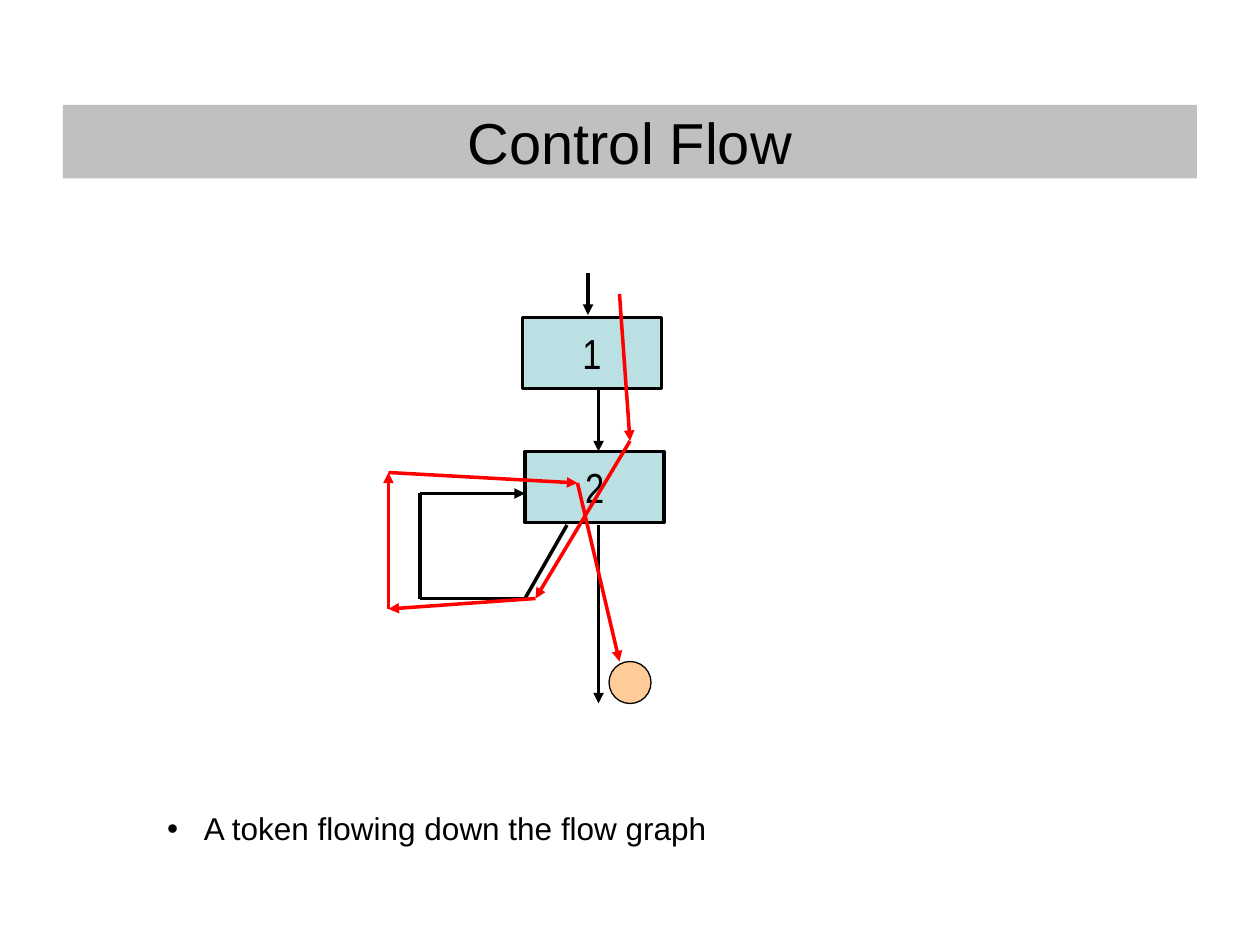
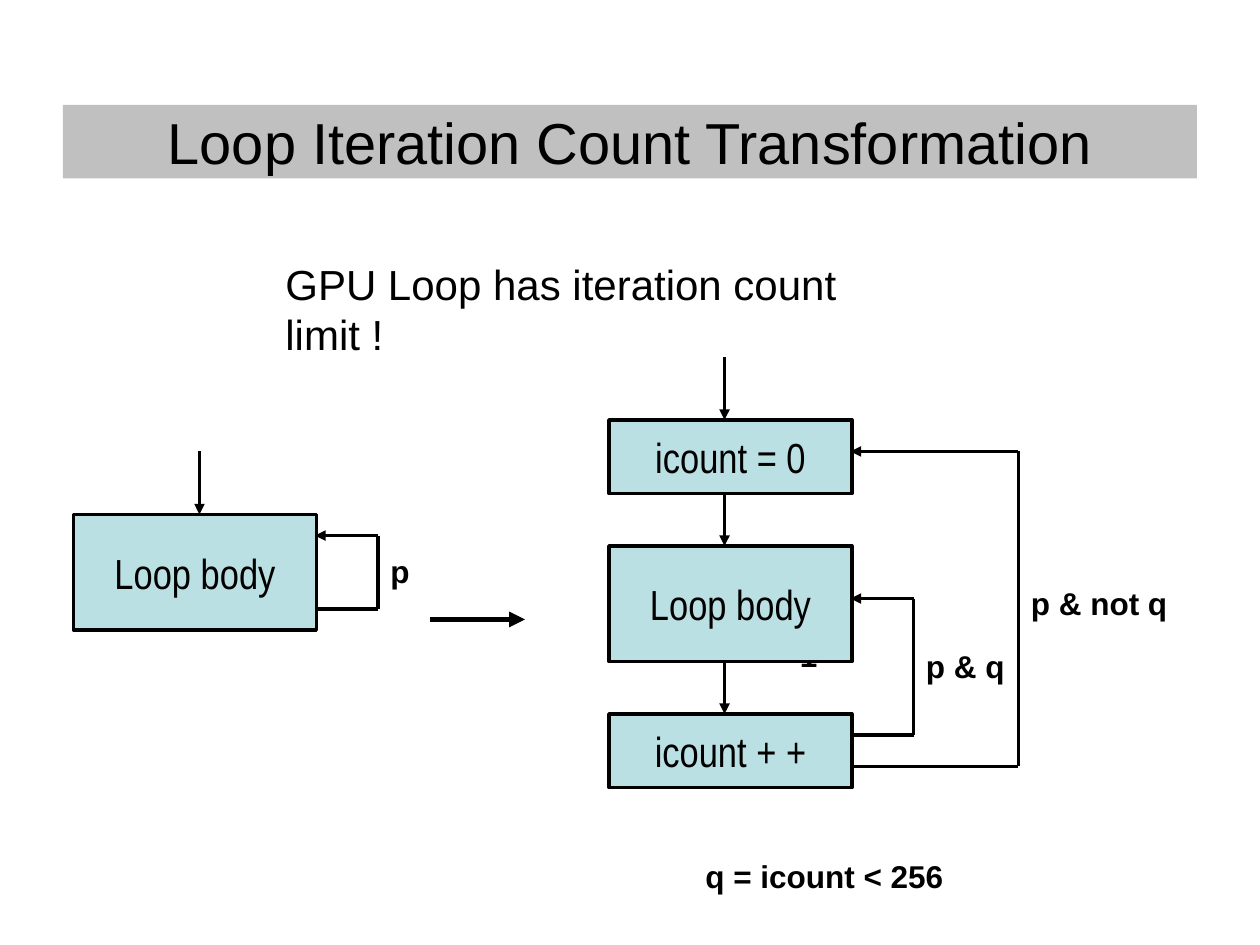
"""Builds two slides on control flow and loop iteration counts."""
from lxml import etree
from pptx import Presentation
from pptx import util as u
from pptx.dml.color import RGBColor
from pptx.enum import shapes, text
from pptx.oxml.ns import qn

PX = 9525
WIDTH, HEIGHT = 960, 720
COLORS = {"ink": "000000", "band": "C0C0C0", "process": "BBE0E3",
          "trace": "FF0000", "token": "FFCC99"}
RGB = {name: RGBColor.from_string(value) for name, value in COLORS.items()}
BULLET_INDENT = 28


def write(shape, content, size, font="Arial", bold=False, centered=False, wrap=True):
    """Put one styled line of text in a shape."""
    tf = shape.text_frame
    tf.text = content
    tf.word_wrap = wrap
    p = tf.paragraphs[0]
    if centered:
        tf.vertical_anchor = text.MSO_ANCHOR.MIDDLE
        p.alignment = text.PP_ALIGN.CENTER
    r = p.runs[0]
    r.font.name, r.font.size, r.font.bold = font, u.Pt(size), bold
    r.font.color.rgb = RGB["ink"]
    return p


def route(s, points, color="ink", weight=2, arrows="last"):
    """Join points with straight connectors, with arrowheads on none, the last or all."""
    legs = list(zip(points, points[1:]))
    for i, (start, end) in enumerate(legs, 1):
        line = s.shapes.add_connector(shapes.MSO_CONNECTOR.STRAIGHT,
                                      *[v * PX for v in start + end])
        line.line.color.rgb = RGB[color]
        line.line.width = u.Pt(weight)
        if arrows == "all" or (arrows == "last" and i == len(legs)):
            etree.SubElement(line.line._get_or_add_ln(), qn("a:tailEnd"), type="triangle")
        etree.SubElement(line._element.spPr, qn("a:effectLst"))


SLIDES = [
    {
        "title": "Control Flow",
        "labels": [("A token flowing down the flow graph", 118, 612, 514, 38, 18, False, True)],
        "boxes": [("1", 398, 242, 106, 54), ("2", 400, 344, 106, 54)],
        "routes": [
            {"points": [(448, 208), (448, 240)]},
            {"points": [(456, 296), (456, 344)]},
            {"points": [(456, 400), (456, 536)]},
            {"points": [(432, 400), (400, 456), (320, 456), (320, 376), (400, 376)]},
            {"points": [(472, 224), (480, 336), (408, 456), (296, 464), (296, 360),
                        (440, 368), (472, 504)], "color": "trace", "arrows": "all"},
        ],
    },
    {
        "title": "Loop Iteration Count Transformation",
        "labels": [
            ("GPU Loop has iteration count limit !", 208, 192, 522, 48, 24, False, False),
            ("1", 600, 480, 24, 38, 18, True, True),
            ("p", 288, 416, 34, 38, 18, True, False),
            ("p & q", 696, 488, 80, 38, 18, True, True),
            ("p & not q", 776, 440, 128, 38, 18, True, True),
            ("q = icount < 256", 528, 648, 216, 38, 18, True, True),
        ],
        "boxes": [("Loop body", 56, 392, 185, 88), ("icount = 0", 464, 320, 185, 56),
                  ("Loop body", 464, 416, 185, 88), ("icount + +", 464, 544, 185, 56)],
        "routes": [
            {"points": [(152, 344), (152, 392)]},
            {"points": [(240, 464), (288, 464), (288, 408), (240, 408)]},
            {"points": [(328, 472), (400, 472)], "weight": 3},
            {"points": [(552, 272), (552, 320)]},
            {"points": [(552, 376), (552, 416)]},
            {"points": [(552, 504), (552, 544)]},
            {"points": [(648, 560), (696, 560), (696, 456), (648, 456)]},
            {"points": [(648, 584), (776, 584), (776, 344), (648, 344)]},
        ],
    },
]

prs = Presentation()
prs.slide_width, prs.slide_height = WIDTH * PX, HEIGHT * PX

for content in SLIDES:
    s = prs.slides.add_slide(prs.slide_layouts[6])

    band = s.shapes.add_shape(shapes.MSO_SHAPE.RECTANGLE, *[v * PX for v in (48, 80, 864, 56)])
    band.shadow.inherit = False
    band.fill.solid()
    band.fill.fore_color.rgb = RGB["band"]
    band.line.fill.background()
    write(band, content["title"], 33, centered=True)

    for label, x, y, w, h, size, bold, wrap in content["labels"]:
        sp = s.shapes.add_textbox(x * PX, y * PX, w * PX, h * PX)
        p = write(sp, label, size, bold=bold, wrap=wrap)
        if content is SLIDES[0]:
            pPr = p._p.get_or_add_pPr()
            pPr.set("marL", str(BULLET_INDENT * PX))
            pPr.set("indent", str(-BULLET_INDENT * PX))
            etree.SubElement(pPr, qn("a:buFont"), typeface="Arial")
            etree.SubElement(pPr, qn("a:buChar"), char="•")

    for label, x, y, w, h in content["boxes"]:
        sp = s.shapes.add_shape(shapes.MSO_SHAPE.FLOWCHART_PROCESS,
                                x * PX, y * PX, w * PX, h * PX)
        sp.shadow.inherit = False
        sp.fill.solid()
        sp.fill.fore_color.rgb = RGB["process"]
        sp.line.color.rgb = RGB["ink"]
        sp.line.width = u.Pt(2)
        write(sp, label, 24, font="Arial Narrow", centered=True, wrap=False)

    for path_spec in content["routes"]:
        route(s, **path_spec)

token = prs.slides[0].shapes.add_shape(shapes.MSO_SHAPE.OVAL, *[v * PX for v in (464, 504, 32, 32)])
token.shadow.inherit = False
token.fill.solid()
token.fill.fore_color.rgb = RGB["token"]
token.line.color.rgb = RGB["ink"]
token.line.width = u.Pt(0.75)

prs.save("out.pptx")
